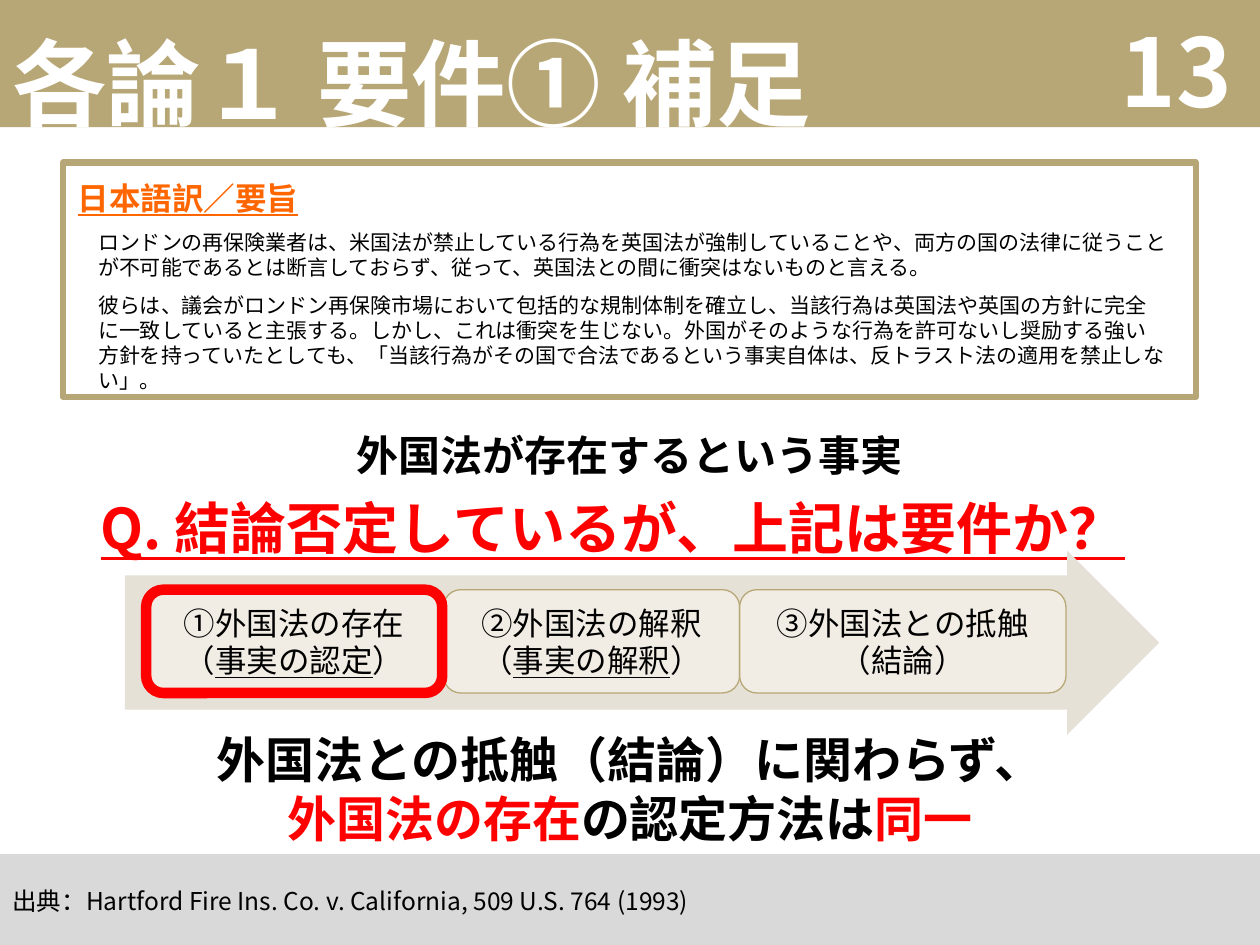
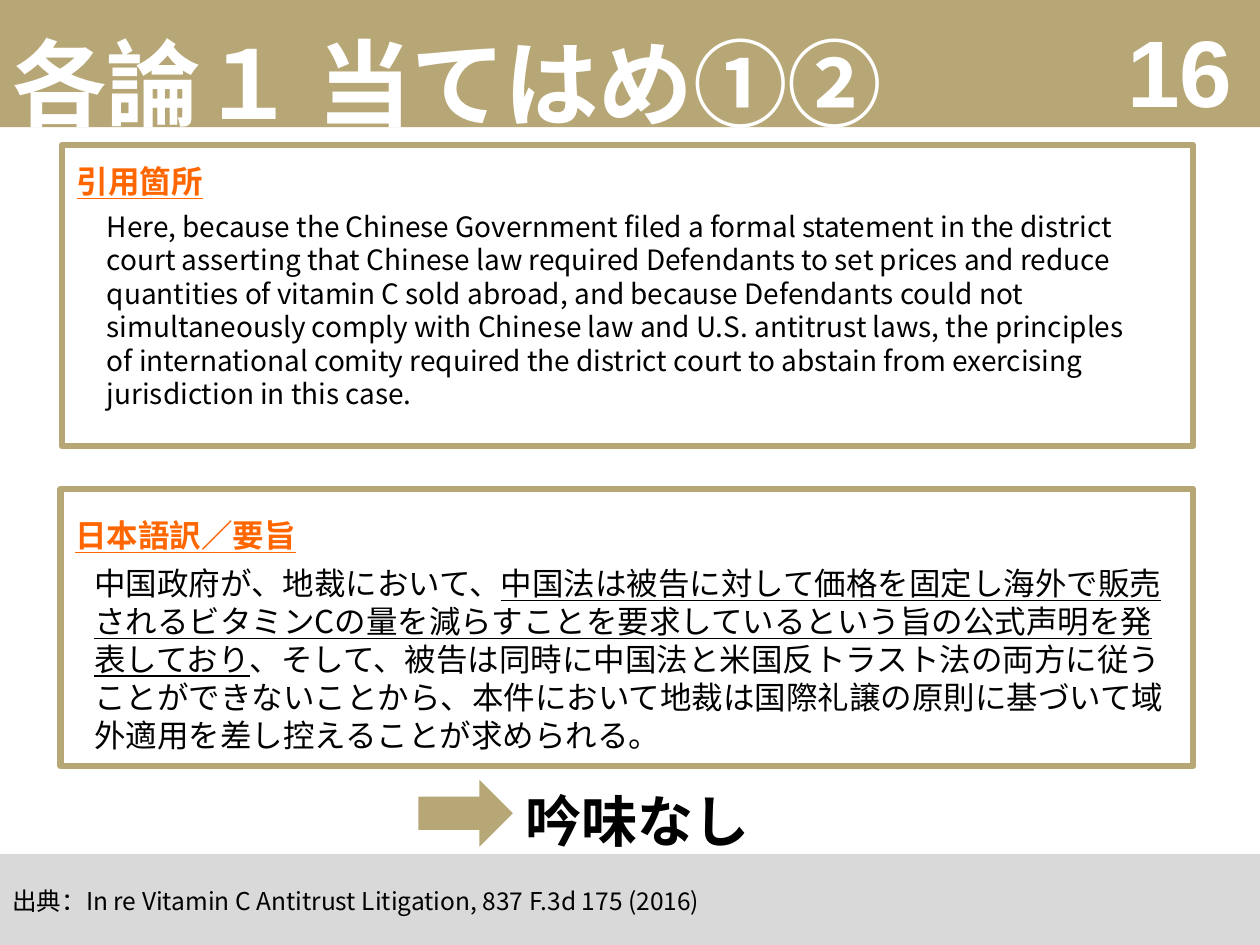
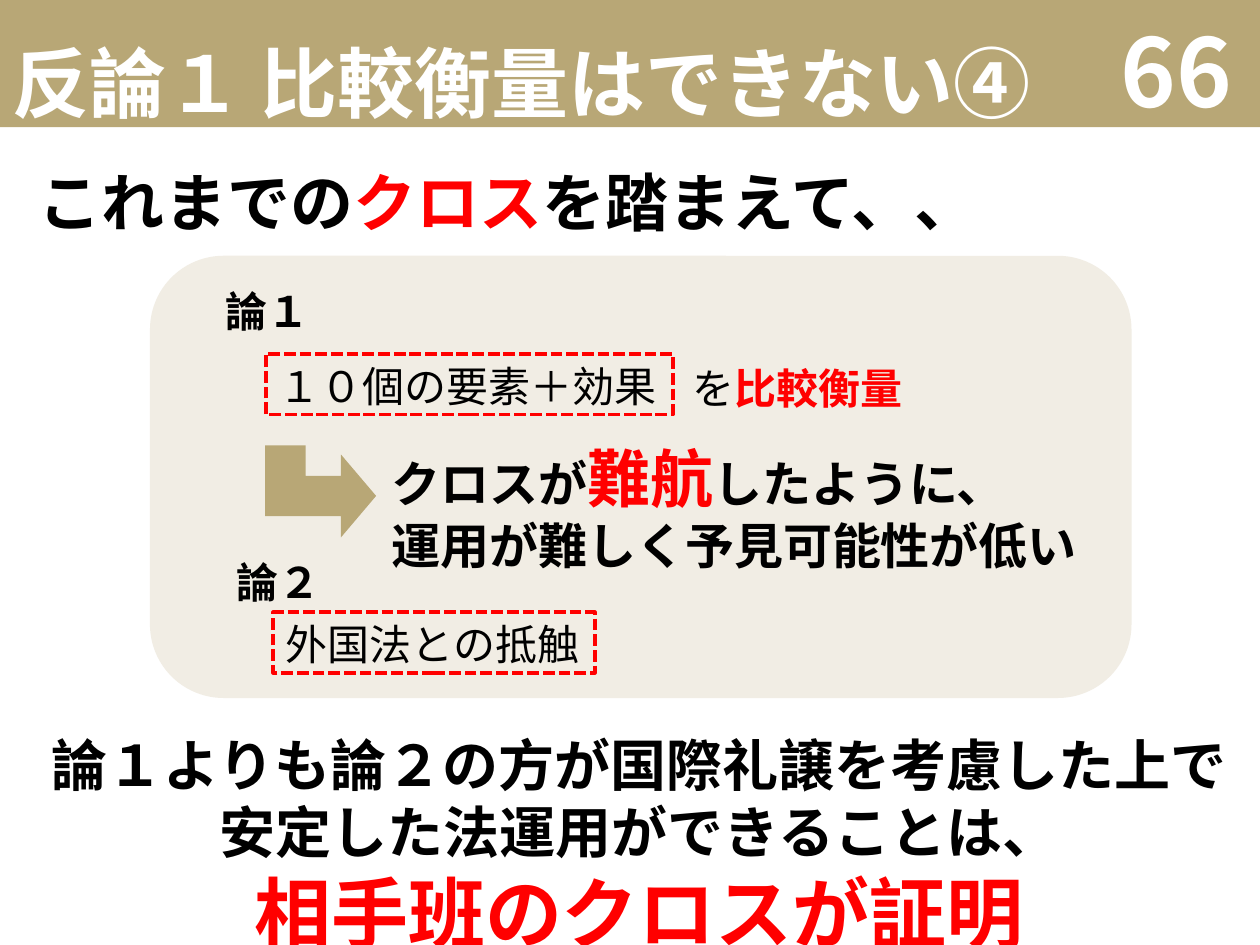
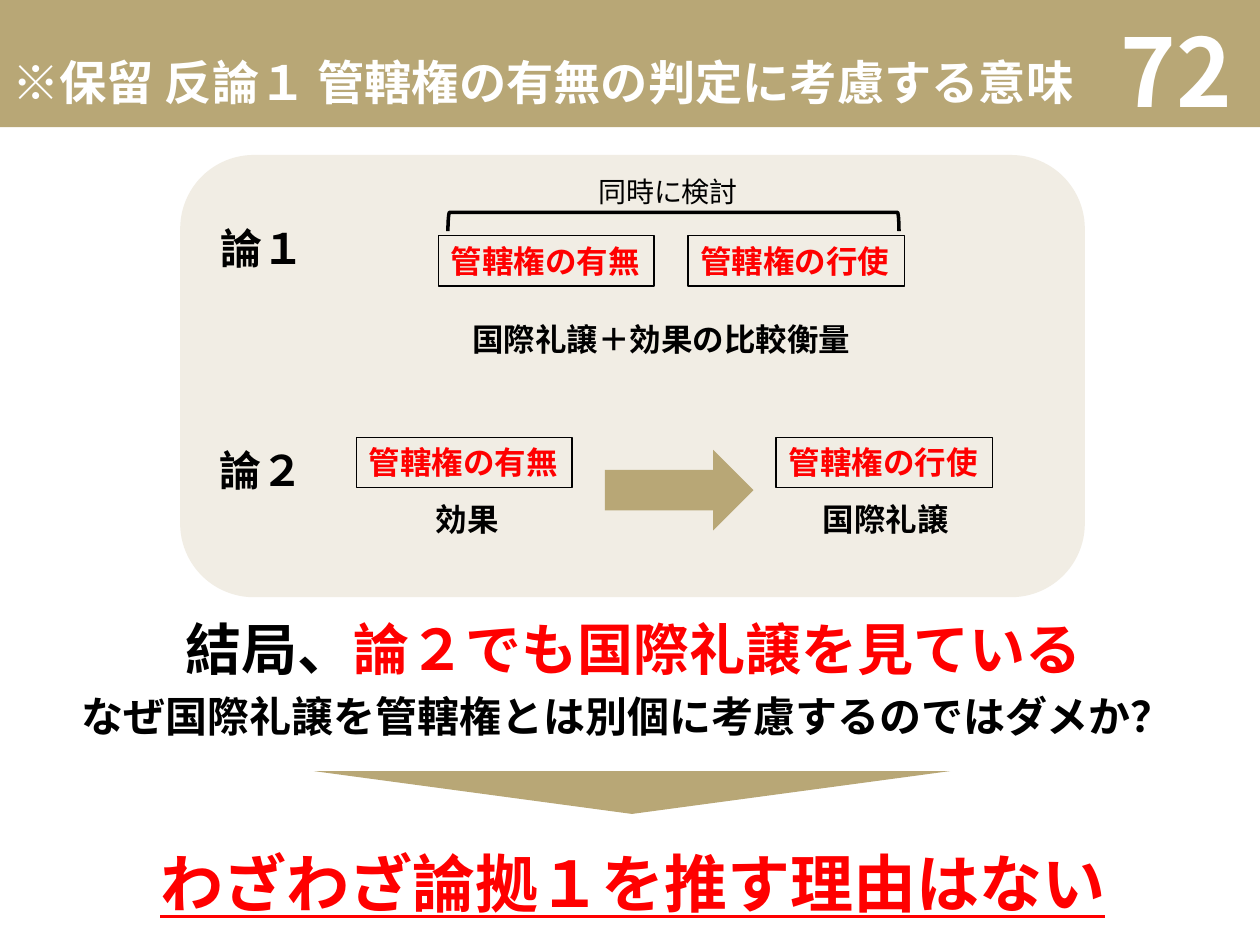
"""Build four slides on foreign law and international comity in antitrust cases."""
from lxml import etree
from pptx import Presentation
from pptx.dml.color import RGBColor
from pptx.enum import dml, shapes, text
from pptx.oxml.ns import qn
from pptx.util import Inches, Pt

GOLD = RGBColor(0xB8, 0xA7, 0x76)
SAND = RGBColor(0xE6, 0xE1, 0xD6)
CREAM = RGBColor(0xF1, 0xED, 0xE4)
GRAY = RGBColor(0xD9, 0xD9, 0xD9)
ORANGE = RGBColor(0xFF, 0x66, 0x00)
RED = RGBColor(0xFF, 0x00, 0x00)
BLACK = RGBColor(0x00, 0x00, 0x00)
WHITE = RGBColor(0xFF, 0xFF, 0xFF)

CJK_FONT = "Noto Sans CJK JP"
TITLE_FONT = "Karla"
NUMBER_FONT = "Arial"
LEFT, CENTER, RIGHT = text.PP_ALIGN.LEFT, text.PP_ALIGN.CENTER, text.PP_ALIGN.RIGHT
TOP, MIDDLE = text.MSO_ANCHOR.TOP, text.MSO_ANCHOR.MIDDLE
PRESET = shapes.MSO_SHAPE

SHAPES = {
    "band": dict(preset=PRESET.RECTANGLE, fill=GOLD),
    "footer": dict(preset=PRESET.RECTANGLE, fill=GRAY),
    "frame": dict(preset=PRESET.RECTANGLE, line=GOLD, weight=3.5),
    "panel": dict(preset=PRESET.FLOWCHART_ALTERNATE_PROCESS, fill=CREAM),
    "flow": dict(preset=PRESET.RIGHT_ARROW, fill=SAND, adjust=(0.73, 0.5)),
    "step": dict(preset=PRESET.ROUNDED_RECTANGLE, fill=CREAM, line=GOLD, weight=0.75),
    "key step": dict(preset=PRESET.ROUNDED_RECTANGLE, fill=CREAM, line=RED, weight=6),
    "arrow": dict(preset=PRESET.RIGHT_ARROW, fill=GOLD),
    "bent arrow": dict(preset=PRESET.BENT_UP_ARROW, fill=GOLD, turn=90,
                       adjust=(0.438, 0.45, 0.382)),
    "down wedge": dict(preset=PRESET.ISOSCELES_TRIANGLE, fill=GOLD, turn=180),
    "bracket": dict(preset=PRESET.RIGHT_BRACKET, line=BLACK, weight=2, turn=270),
    "dashed": dict(preset=PRESET.RECTANGLE, line=RED, weight=2.25,
                   dash=dml.MSO_LINE.SQUARE_DOT),
    "boxed": dict(preset=PRESET.RECTANGLE, line=BLACK, weight=0.75),
}

STYLES = {
    "title": dict(size=54, color=WHITE, bold=True, font=TITLE_FONT, anchor=MIDDLE),
    "number": dict(size=54, color=WHITE, bold=True, align=RIGHT, anchor=MIDDLE),
    "footer": dict(size=14, anchor=MIDDLE),
    "label": dict(size=18, color=ORANGE, bold=True, underline=True),
    "quote": dict(size=16),
    "summary": dict(size=18),
    "small summary": dict(size=12, gap=7.25),
    "step": dict(size=18, align=CENTER, anchor=MIDDLE),
    "key step": dict(size=18, align=CENTER, anchor=MIDDLE),
    "dashed": dict(size=24, wrap=False),
    "boxed": dict(size=18, color=RED, bold=True, wrap=False),
    "note": dict(size=16, wrap=False),
    "caption": dict(size=18, bold=True, wrap=False),
    "argument": dict(size=24, bold=True, wrap=False),
    "remark": dict(size=24, wrap=False),
    "subject": dict(size=24, bold=True, align=CENTER),
    "follow-up": dict(size=24, bold=True),
    "question": dict(size=32, color=RED, bold=True, underline=True, align=CENTER, wrap=False),
    "answer": dict(size=28, bold=True, align=CENTER),
    "reason": dict(size=28, bold=True, wrap=False),
    "verdict": dict(size=32, bold=True),
    "conclusion": dict(size=32, bold=True, align=CENTER),
    "lead": dict(size=36, bold=True, wrap=False),
    "final": dict(size=36, color=RED, bold=True, underline=True, align=CENTER, wrap=False),
}

IN_RED = dict(color=RED)
UNDERLINED = dict(underline=True)

SLIDES = [
    dict(
        title="各論１ 要件① 補足", number="13",
        source="Hartford Fire Ins. Co. v. California, 509 U.S. 764 (1993)",
        parts=[
            ("frame", (0.5, 1.29, 8.99, 1.86), []),
            ("label", (0.52, 1.37, 8.68, 0.4), ["日本語訳／要旨"]),
            ("subject", (1.16, 3.36, 7.67, 0.5), ["外国法が存在するという事実"]),
            ("small summary", (0.68, 1.77, 8.69, 1.4), [
                "ロンドンの再保険業者は、米国法が禁止している行為を英国法が強制していることや、"
                "両方の国の法律に従うことが不可能であるとは断言しておらず、従って、"
                "英国法との間に衝突はないものと言える。",
                "彼らは、議会がロンドン再保険市場において包括的な規制体制を確立し、"
                "当該行為は英国法や英国の方針に完全に一致していると主張する。"
                "しかし、これは衝突を生じない。外国がそのような行為を許可ないし奨励する"
                "強い方針を持っていたとしても、「当該行為がその国で合法であるという"
                "事実自体は、反トラスト法の適用を禁止しない」。"]),
            ("question", (0.62, 3.87, 8.49, 0.64), ["Q. 結論否定しているが、上記は要件か？"]),
            ("flow", (0.99, 4.37, 8.21, 1.46), []),
            ("step", (3.52, 4.68, 2.35, 0.82), [
                ["②外国法の解釈（", ("事実の解釈", UNDERLINED), "）"]]),
            ("key step", (1.16, 4.68, 2.35, 0.82), [
                ["①外国法の存在\n（", ("事実の認定", UNDERLINED), "）"]]),
            ("step", (5.87, 4.68, 2.59, 0.82), ["③外国法との抵触", "（結論）"]),
            ("answer", (0.05, 5.74, 9.9, 1.04), [
                "外国法との抵触（結論）に関わらず、",
                [("外国法の存在", IN_RED), "の認定方法は", ("同一", IN_RED)]]),
        ]),
    dict(
        title="各論１ 当てはめ①②", number="16", number_font=NUMBER_FONT,
        source="In re Vitamin C Antitrust Litigation, 837 F.3d 175 (2016)",
        parts=[
            ("frame", (0.49, 1.15, 8.98, 2.39), []),
            ("frame", (0.48, 3.88, 8.99, 2.2), []),
            ("label", (0.5, 4.05, 8.68, 0.4), ["日本語訳／要旨"]),
            ("label", (0.51, 1.24, 8.68, 0.4), ["引用箇所"]),
            ("arrow", (3.32, 6.19, 0.75, 0.53), []),
            ("verdict", (4.07, 6.19, 4.57, 0.64), ["吟味なし"]),
            ("quote", (0.75, 1.61, 8.46, 1.72), [
                "Here, because the Chinese Government filed a formal statement in the "
                "district court asserting that Chinese law required Defendants to set "
                "prices and reduce quantities of vitamin C sold abroad, and because "
                "Defendants could not simultaneously comply with Chinese law and U.S. "
                "antitrust laws, the principles of international comity required the "
                "district court to abstain from exercising jurisdiction in this case."]),
            ("summary", (0.65, 4.43, 8.69, 1.62), [[
                "中国政府が、地裁において、",
                ("中国法は被告に対して価格を固定し海外で販売されるビタミンCの量を減らすことを"
                 "要求しているという旨の公式声明を発表しており", UNDERLINED),
                "、そして、被告は同時に中国法と米国反トラスト法の両方に従うことができない"
                "ことから、本件において地裁は国際礼譲の原則に基づいて域外適用を差し控える"
                "ことが求められる。"]]),
        ]),
    dict(
        title="反論１ 比較衡量はできない④", title_size=44, number="66",
        parts=[
            ("conclusion", (0.26, 5.75, 9.63, 1.92), [
                "論１よりも論２の方が国際礼譲を考慮した上で\n安定した法運用ができることは、",
                [("相手班のクロスが証明", dict(size=44, color=RED))]]),
            ("panel", (1.19, 2.03, 7.79, 3.51), []),
            ("argument", (1.69, 2.22, 0.96, 0.48), ["論１"]),
            ("argument", (1.78, 4.37, 0.87, 0.48), ["論２"]),
            ("dashed", (2.11, 2.81, 3.23, 0.48), ["１０個の要素＋効果"]),
            ("dashed", (2.17, 4.86, 2.55, 0.48), ["外国法との抵触"]),
            ("bent arrow", (2.18, 3.46, 0.73, 0.88), []),
            ("reason", (3.01, 3.44, 5.69, 1.13), [
                ["クロスが", ("難航", dict(size=36, color=RED)), "したように、"],
                "運用が難しく予見可能性が低い"]),
            ("remark", (5.4, 2.83, 1.88, 0.48), [
                ["を", ("比較衡量", dict(color=RED, bold=True))]]),
            ("lead", (0.21, 1.25, 7.78, 0.71), [
                ["これまでの", ("クロス", IN_RED), "を踏まえて、、"]]),
        ]),
    dict(
        title=["※保留 反論１ ", ("管轄権の有無の判定に考慮する意味", dict(font=CJK_FONT))],
        title_size=27, number="72",
        parts=[
            ("follow-up", (0.55, 5.43, 8.95, 0.5),
             ["なぜ国際礼譲を管轄権とは別個に考慮するのではダメか？"]),
            ("conclusion", (0.9, 4.83, 8.26, 0.64), [
                ["結局、", ("論２でも国際礼譲を見ている", IN_RED)]]),
            ("panel", (1.43, 1.23, 7.18, 3.51), []),
            ("argument", (1.65, 1.72, 0.96, 0.5), ["論１"]),
            ("argument", (1.64, 3.48, 0.88, 0.5), ["論２"]),
            ("boxed", (3.48, 1.87, 1.71, 0.4), ["管轄権の有無"]),
            ("caption", (3.65, 2.49, 3.23, 0.4), ["国際礼譲＋効果の比較衡量"]),
            ("caption", (3.36, 3.92, 0.71, 0.4), ["効果"]),
            ("boxed", (5.46, 1.87, 1.72, 0.4), ["管轄権の行使"]),
            ("caption", (6.43, 3.92, 1.21, 0.4), ["国際礼譲"]),
            ("arrow", (4.8, 3.57, 1.18, 0.64), []),
            ("boxed", (2.83, 3.47, 1.71, 0.4), ["管轄権の有無"]),
            ("boxed", (6.16, 3.47, 1.72, 0.4), ["管轄権の行使"]),
            ("bracket", (5.27, -0.03, 0.15, 3.58), []),
            ("note", (4.65, 1.34, 1.32, 0.37), ["同時に検討"]),
            ("down wedge", (2.49, 6.12, 5.05, 0.34), []),
            ("final", (1.13, 6.65, 7.78, 0.71), ["わざわざ論拠１を推す理由はない"]),
        ]),
]


def set_font(font, size=None, color=None, bold=None, underline=None, font_name=None):
    if size:
        font.size = Pt(size)
    if color is not None:
        font.color.rgb = color
    if bold is not None:
        font.bold = bold
    if underline is not None:
        font.underline = underline
    if font_name:
        font.name = font_name


def add_spans(para, spans):
    for item in [spans] if isinstance(spans, str) else spans:
        words, changes = (item, {}) if isinstance(item, str) else item
        changes = dict(changes)
        font_name = changes.pop("font", None)
        for index, line in enumerate(words.split("\n")):
            if index:
                para.add_line_break()
            span = para.add_run()
            span.text = line
            set_font(span.font, font_name=font_name, **changes)


def write(box, paragraphs, size, color=BLACK, bold=False, underline=False, font=CJK_FONT,
          align=LEFT, anchor=TOP, wrap=True, gap=0):
    frame = box.text_frame
    frame.word_wrap = wrap
    if not wrap:
        frame.auto_size = text.MSO_AUTO_SIZE.SHAPE_TO_FIT_TEXT
    frame.vertical_anchor = anchor
    for index, spans in enumerate(paragraphs):
        para = frame.add_paragraph() if index else frame.paragraphs[0]
        para.alignment = align
        if index and gap:
            para.space_before = Pt(gap)
        set_font(para.font, size, color, bold, underline, font)
        defaults = para._p.pPr.find(qn("a:defRPr"))
        etree.SubElement(defaults, qn("a:ea"), typeface=CJK_FONT)
        add_spans(para, spans)


def draw(page, at, preset, fill=None, line=None, weight=1, dash=None, turn=0, adjust=()):
    shape = page.shapes.add_shape(preset, *map(Inches, at))
    shape.shadow.inherit = False
    shape.rotation = turn
    for index, value in enumerate(adjust):
        shape.adjustments[index] = value
    if fill is None:
        shape.fill.background()
    else:
        shape.fill.solid()
        shape.fill.fore_color.rgb = fill
    if line is None:
        shape.line.fill.background()
    else:
        shape.line.color.rgb = line
        shape.line.width = Pt(weight)
        if dash:
            shape.line.dash_style = dash
    return shape


def add_part(page, kind, at, paragraphs, **changes):
    if kind in SHAPES:
        box = draw(page, at, **SHAPES[kind])
    else:
        box = page.shapes.add_textbox(*map(Inches, at))
    if paragraphs:
        write(box, paragraphs, **{**STYLES[kind], **changes})


def add_slide(deck, content):
    page = deck.slides.add_slide(deck.slide_layouts[6])
    add_part(page, "band", (0, 0, 10, 1.01), [])
    add_part(page, "title", (0, 0.02, 11.06, 1.25), [content["title"]],
             size=content.get("title_size", 54))
    add_part(page, "number", (7.55, 0.35, 2.33, 0.4), [content["number"]],
             font=content.get("number_font", CJK_FONT))
    for kind, at, paragraphs in content["parts"]:
        add_part(page, kind, at, paragraphs)
    if "source" in content:
        add_part(page, "footer", (0, 6.78, 10, 0.74), ["出典：" + content["source"]])


def main():
    deck = Presentation()
    deck.slide_width, deck.slide_height = Inches(10), Inches(7.5)
    for content in SLIDES:
        add_slide(deck, content)
    deck.save("out.pptx")


if __name__ == "__main__":
    main()
